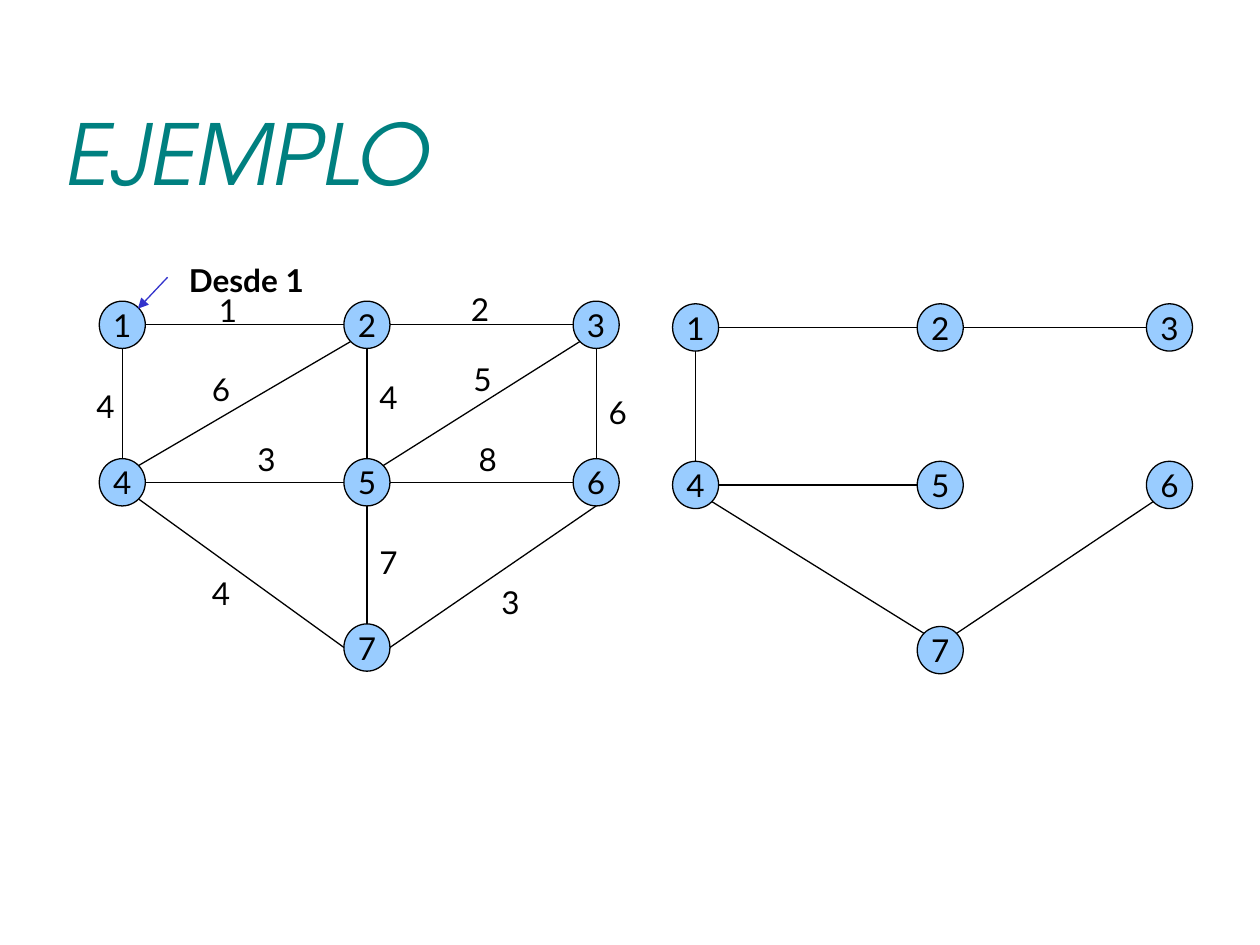
from lxml import etree
from pptx import Presentation
from pptx.dml.color import RGBColor
from pptx.enum.shapes import MSO_CONNECTOR as Connector, MSO_SHAPE as Shape
from pptx.enum.text import MSO_ANCHOR as Anchor, MSO_AUTO_SIZE as AutoSize, PP_ALIGN as Align
from pptx.oxml.ns import qn
from pptx.util import Pt

rgb = RGBColor.from_string


def write(frame, text, size=18, font="Lato", color="000000", bold=False, italic=False):
    """Put one formatted run in the frame and return its paragraph."""
    paragraph = frame.paragraphs[0]
    run = paragraph.add_run()
    run.text = text
    run.font.size = Pt(size)
    run.font.name = font
    run.font.color.rgb = rgb(color)
    run.font.bold = bold
    run.font.italic = italic
    return paragraph


def add_line(start, end, color="000000"):
    line = slide.shapes.add_connector(Connector.STRAIGHT, *map(Pt, start + end))
    line.line.color.rgb = rgb(color)
    line.line.width = Pt(0.75)
    etree.SubElement(line._element.spPr, qn("a:effectLst"))
    return line


prs = Presentation()
prs.slide_width, prs.slide_height = Pt(720), Pt(540)
slide = prs.slides.add_slide(prs.slide_layouts[5])

title = slide.shapes.title
title.left, title.top, title.width, title.height = Pt(30), Pt(42), Pt(648), Pt(90)
title.text_frame.vertical_anchor = Anchor.MIDDLE
title.text_frame.auto_size = AutoSize.NONE
heading = write(title.text_frame, "EJEMPLO", 48, "TeX Gyre Adventor", "008080", italic=True)
heading.alignment = Align.LEFT

# Node centres of the full graph; the spanning tree repeats them at an offset
NODE_W, NODE_H = 26.3, 27
COLUMNS, ROWS = (69.9, 209.7, 340.7), (185.6, 275.6, 370)
centres = {1 + 3 * r + c: (COLUMNS[c], ROWS[r]) for r in range(2) for c in range(3)}
centres[7] = (COLUMNS[1], ROWS[2])

# Points on a node's rim, as fractions of its half width and half height
rim = {"N": (0, -1), "E": (1, 0), "S": (0, 1), "W": (-1, 0),
       "NE": (0.71, -0.71), "SE": (0.71, 0.71), "SW": (-0.71, 0.71), "NW": (-0.71, -0.71)}

graph_edges = [
    (1, "E", 2, "W"), (2, "E", 3, "W"), (4, "E", 5, "W"), (5, "E", 6, "W"),
    (1, "S", 4, "N"), (2, "S", 5, "N"), (3, "S", 6, "N"),
    (2, "SW", 4, "NE"), (3, "SW", 5, "NE"),
    (6, "S", 7, "E"), (4, "SE", 7, "W"), (5, "S", 7, "N"),
]
tree_edges = [
    (1, "E", 2, "W"), (2, "E", 3, "W"), (5, "W", 4, "E"),
    (7, "NE", 6, "SW"), (4, "SE", 7, "NW"), (1, "S", 4, "N"),
]

for dx, dy, edges in ((0, 0, graph_edges), (327.6, 1.5, tree_edges)):
    for number, (x, y) in centres.items():
        node = slide.shapes.add_shape(
            Shape.OVAL, Pt(x + dx - NODE_W / 2), Pt(y + dy - NODE_H / 2), Pt(NODE_W), Pt(NODE_H))
        node.shadow.inherit = False
        node.fill.solid()
        node.fill.fore_color.rgb = rgb("99CCFF")
        node.line.color.rgb = rgb("000000")
        node.line.width = Pt(0.75)
        node.text_frame.word_wrap = False
        node.text_frame.vertical_anchor = Anchor.MIDDLE
        write(node.text_frame, str(number)).alignment = Align.CENTER
    for first, first_side, second, second_side in edges:
        ends = []
        for number, side in ((first, first_side), (second, second_side)):
            (x, y), (across, down) = centres[number], rim[side]
            ends.append((x + dx + across * NODE_W / 2, y + dy + down * NODE_H / 2))
        add_line(*ends)

# Edge weights and the start label: text, left, top, width, bold
labels = [(weight, left, top, 31, False) for weight, left, top in (
    ("1", 118, 162.7), ("4", 48, 217.5), ("6", 114, 208), ("3", 140, 247.7),
    ("4", 209.7, 212.4), ("5", 263.5, 202.3), ("2", 262, 162), ("6", 340.7, 221),
    ("8", 266.4, 247.7), ("7", 209.7, 306.7), ("3", 279.4, 329.8), ("4", 114, 324.7))]
labels.append(("Desde 1", 100.8, 145.4, 87, True))
for text, left, top, width, bold in labels:
    label = slide.shapes.add_textbox(Pt(left), Pt(top), Pt(width), Pt(28.8))
    label.text_frame.word_wrap = True
    label.text_frame.auto_size = AutoSize.SHAPE_TO_FIT_TEXT
    write(label.text_frame, text, bold=bold).space_before = Pt(11.2)

start_arrow = add_line((95.8, 158.4), (78.8, 176.4), "3333CC")
etree.SubElement(start_arrow.line._get_or_add_ln(), qn("a:tailEnd"), type="triangle")

prs.save("out.pptx")
